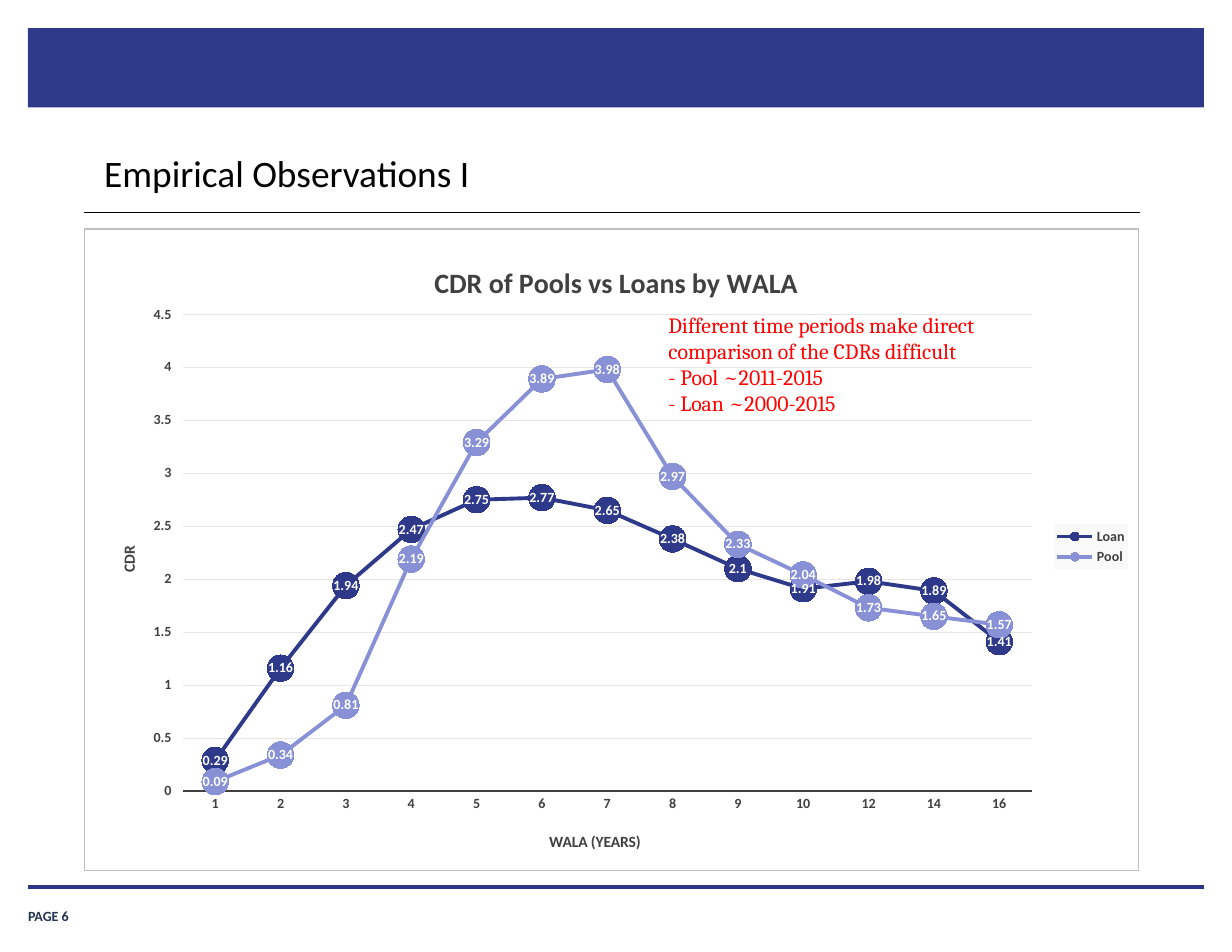
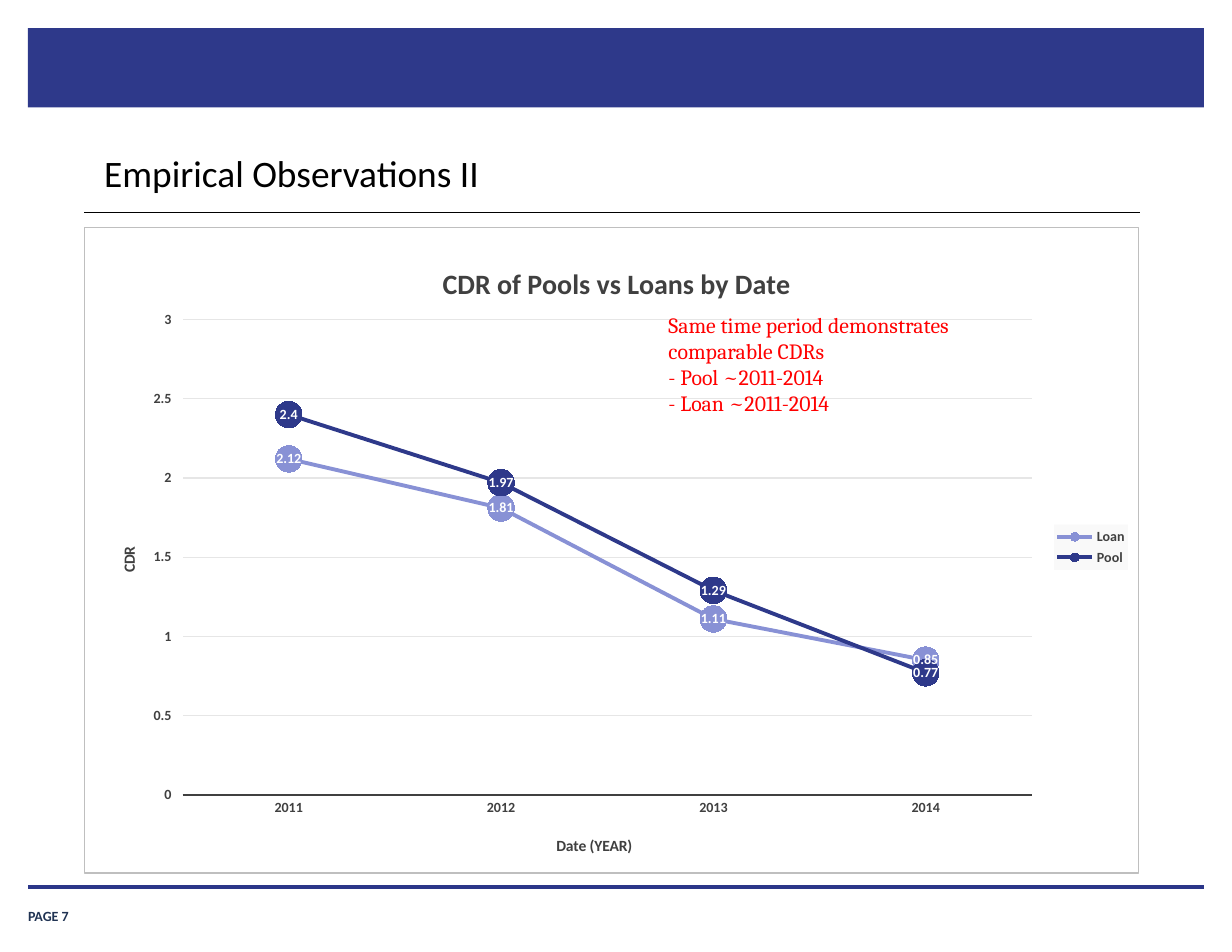
from pptx import Presentation
from pptx.chart.data import CategoryChartData
from pptx.dml.color import RGBColor
from pptx.enum.chart import (XL_CHART_TYPE, XL_LABEL_POSITION, XL_LEGEND_POSITION,
                             XL_MARKER_STYLE, XL_TICK_MARK)
from pptx.enum.shapes import MSO_CONNECTOR, MSO_SHAPE
from pptx.enum.text import MSO_ANCHOR, PP_ALIGN
from pptx.oxml import parse_xml
from pptx.oxml.ns import nsdecls, qn
from pptx.util import Inches, Pt

LINES = XL_CHART_TYPE.LINE_MARKERS
CENTER = XL_LABEL_POSITION.CENTER
RIGHT = XL_LEGEND_POSITION.RIGHT
ROUND = XL_MARKER_STYLE.CIRCLE
NO_TICK, OUT = XL_TICK_MARK.NONE, XL_TICK_MARK.OUTSIDE
STRAIGHT = MSO_CONNECTOR.STRAIGHT
RECT = MSO_SHAPE.RECTANGLE
TOP, BOTTOM = MSO_ANCHOR.TOP, MSO_ANCHOR.BOTTOM
LEFT = PP_ALIGN.LEFT

# Shared style: the grid has quarter-inch cells
CELL = 0.25
COLS, ROWS = 44, 34
NAVY, LILAC, GRAY = "2E398A", "8891D5", "404040"
FONTS = {
    "title": dict(name="Calibri", size=24, bold=False, color="000000"),
    "page": dict(name="Calibri", size=9, bold=True, color="203353"),
    "note": dict(name="Cambria", size=14, bold=False, color="FF0000"),
    "base": dict(name="Calibri", size=10, bold=True, color="000000"),
    "head": dict(name="Calibri", size=18, bold=True, color=GRAY),
    "axis": dict(name="Calibri", size=10, bold=True, color=GRAY),
    "tick": dict(name="Calibri", size=9, bold=True, color=GRAY),
    "label": dict(name="Calibri", size=9, bold=True, color="FFFFFF"),
}


def hue(code):
    return RGBColor.from_string(code)


def style(font, kind):
    for key, value in FONTS[kind].items():
        if key == "color":
            font.color.rgb = hue(value)
        else:
            setattr(font, key, Pt(value) if key == "size" else value)


def stroke(line, code, width):
    line.color.rgb = hue(code)
    line.width = Pt(width)


def place(part, index, **spots):
    """Give a chart part a fixed place, in shares of the chart."""
    old = part.find(qn("c:layout"))
    if old is not None:
        part.remove(old)
    modes = '<c:xMode val="edge"/><c:yMode val="edge"/>'
    if "w" in spots:
        modes = '<c:layoutTarget val="inner"/>' + modes if index == 0 else modes
    body = modes + "".join(f'<c:{key} val="{value}"/>' for key, value in spots.items())
    part.insert(index, parse_xml(
        f'<c:layout {nsdecls("c")}><c:manualLayout>{body}</c:manualLayout></c:layout>'))


def frame(after, fill, edge=None):
    """Fill and border for a chart part, set behind the given element."""
    paint = '<a:solidFill><a:srgbClr val="{}"/></a:solidFill>'
    line = f'<a:ln w="9525">{paint.format(edge)}</a:ln>' if edge else ""
    after.addnext(parse_xml(
        f'<c:spPr {nsdecls("c", "a")}>{paint.format(fill)}{line}</c:spPr>'))


class Deck:
    def __init__(self):
        self.prs = Presentation()
        self.prs.slide_width = Inches(COLS * CELL)
        self.prs.slide_height = Inches(ROWS * CELL)
        self.slide = None

    def grid(self, *cells):
        return [Inches(cell * CELL) for cell in cells]

    def start(self, title, page):
        self.slide = self.prs.slides.add_slide(self.prs.slide_layouts[5])
        self.band(1, 1, 42, 2.84)
        self.text([f"PAGE {page}"], "page", (1, 32.08, 3.64, 0.92), BOTTOM, (0, 0))
        self.rule(1, 43, 31.68, "2B3689", 2)
        self.title(title)
        self.rule(3, 40.72, 7.6, "000000", 0.75)

    def band(self, *box):
        shape = self.slide.shapes.add_shape(RECT, *self.grid(*box))
        shape.shadow.inherit = False
        shape.fill.solid()
        shape.fill.fore_color.rgb = hue(NAVY)
        shape.line.fill.background()

    def rule(self, left, right, row, code, width):
        line = self.slide.shapes.add_connector(STRAIGHT, *self.grid(left, row, right, row))
        stroke(line.line, code, width)
        line._element.spPr.append(parse_xml(f'<a:effectLst {nsdecls("a")}/>'))

    def fill(self, shape, lines, kind, anchor, pads, indent=0):
        frame = shape.text_frame
        frame.word_wrap = True
        frame.vertical_anchor = anchor
        side, edge = (Inches(pad) for pad in pads)
        frame.margin_left = frame.margin_right = side
        frame.margin_top = frame.margin_bottom = edge
        frame.text = "\n".join(lines)
        for para in frame.paragraphs:
            para.alignment = LEFT
            if indent:
                para.level = 1
                props = para._p.get_or_add_pPr()
                props.set("marL", str(Inches(indent)))
                props.set("indent", "0")
            style(para.runs[0].font, kind)

    def title(self, words):
        shape = self.slide.shapes.title
        shape.left, shape.top, shape.width, shape.height = self.grid(3.28, 5.12, 37.4, 1.92)
        self.fill(shape, [words], "title", TOP, (0.11, 0.06))

    def text(self, lines, kind, box, anchor=TOP, pads=(0.1, 0.05), indent=0):
        shape = self.slide.shapes.add_textbox(*self.grid(*box))
        self.fill(shape, lines, kind, anchor, pads, indent)

    def note(self, *lines):
        self.text(lines, "note", (21.24, 10.92, 16.64, 4.16), indent=0.56)

    def chart(self, title, unit, cats, rows, box, top, plot, spots):
        data = CategoryChartData()
        data.categories = cats
        for name, code, values in rows:
            data.add_series(name, values)
        chart = self.slide.shapes.add_chart(LINES, *self.grid(*box), data).chart
        style(chart.font, "base")
        self.head(chart, title, "head", **spots["head"])
        chart.chart_title.include_in_layout = True
        self.axes(chart, unit, top, spots)
        self.series(chart, rows)
        self.legend(chart)
        place(chart.plots[0]._element.getparent(), 0, **plot)
        frame(chart._chartSpace.find(qn("c:chart")), "FFFFFF", "BFBFBF")

    def head(self, owner, words, kind, **spot):
        name = "chart_title" if kind == "head" else "axis_title"
        title = getattr(owner, name)
        title.text_frame.text = words
        style(title.text_frame.paragraphs[0].runs[0].font, kind)
        place(title._element, 1, **spot)

    def axes(self, chart, unit, top, spots):
        cat, val = chart.category_axis, chart.value_axis
        for axis, words, tick, spot in ((cat, unit, NO_TICK, "cat"), (val, "CDR", OUT, "val")):
            self.head(axis, words, "axis", **spots[spot])
            axis.major_tick_mark, axis.minor_tick_mark = tick, NO_TICK
            style(axis.tick_labels.font, "tick")
        stroke(cat.format.line, GRAY, 1.5)
        val.format.line.fill.background()
        val.minimum_scale, val.maximum_scale, val.major_unit = 0, top, 0.5
        val.has_major_gridlines = True
        stroke(val.major_gridlines.format.line, "E6E6E6", 0.75)
        val.tick_labels.number_format = "General"
        val.tick_labels.number_format_is_linked = False

    def series(self, chart, rows):
        plot = chart.plots[0]
        plot.vary_by_categories = False
        for line, (name, code, values) in zip(plot.series, rows):
            line.smooth = False
            stroke(line.format.line, code, 2.5)
            mark = line.marker
            mark.style, mark.size = ROUND, 17
            mark.format.fill.solid()
            mark.format.fill.fore_color.rgb = hue(code)
            mark.format.line.fill.background()
            labels = line.data_labels
            labels.show_value = True
            labels.position = CENTER
            style(labels.font, "label")

    def legend(self, chart):
        chart.has_legend = True
        legend = chart.legend
        legend.position = RIGHT
        legend.include_in_layout = False
        style(legend.font, "tick")
        part = legend._element
        place(part, 1, x=0.92, y=0.46, w=0.07, h=0.07)
        frame(part.find(qn("c:overlay")), "F9F9F9")


def main():
    deck = Deck()
    side = dict(x=0.03, y=0.49)

    # CDR by age
    deck.start("Empirical Observations I", 6)
    deck.chart(
        "CDR of Pools vs Loans by WALA", "WALA (YEARS)",
        [str(year) for year in (*range(1, 11), 12, 14, 16)],
        [("Loan", NAVY, (0.29, 1.16, 1.94, 2.47, 2.75, 2.77, 2.65,
                         2.38, 2.1, 1.91, 1.98, 1.89, 1.41)),
         ("Pool", LILAC, (0.09, 0.34, 0.81, 2.19, 3.29, 3.89, 3.98,
                          2.97, 2.33, 2.04, 1.73, 1.65, 1.57))],
        (3, 8.16, 37.68, 22.96), 4.5, dict(x=0.093, y=0.133, w=0.806, h=0.743),
        dict(head=dict(x=0.327, y=0.045), cat=dict(x=0.438, y=0.935), val=side))
    deck.note("Different time periods make direct comparison of the CDRs difficult",
              "- Pool ~2011-2015", "- Loan ~2000-2015")

    # CDR by date
    deck.start("Empirical Observations II", 7)
    deck.chart(
        "CDR of Pools vs Loans by Date", "Date (YEAR)",
        [str(year) for year in range(2011, 2015)],
        [("Loan", LILAC, (2.12, 1.81, 1.11, 0.85)),
         ("Pool", NAVY, (2.4, 1.97, 1.29, 0.77))],
        (3, 8.12, 37.68, 23.08), 3, dict(x=0.093, y=0.142, w=0.806, h=0.737),
        dict(head=dict(x=0.335, y=0.048), cat=dict(x=0.445, y=0.938), val=side))
    deck.note("Same time period demonstrates comparable CDRs",
              "- Pool ~2011-2014", "- Loan ~2011-2014")

    deck.prs.save("out.pptx")


if __name__ == "__main__":
    main()
